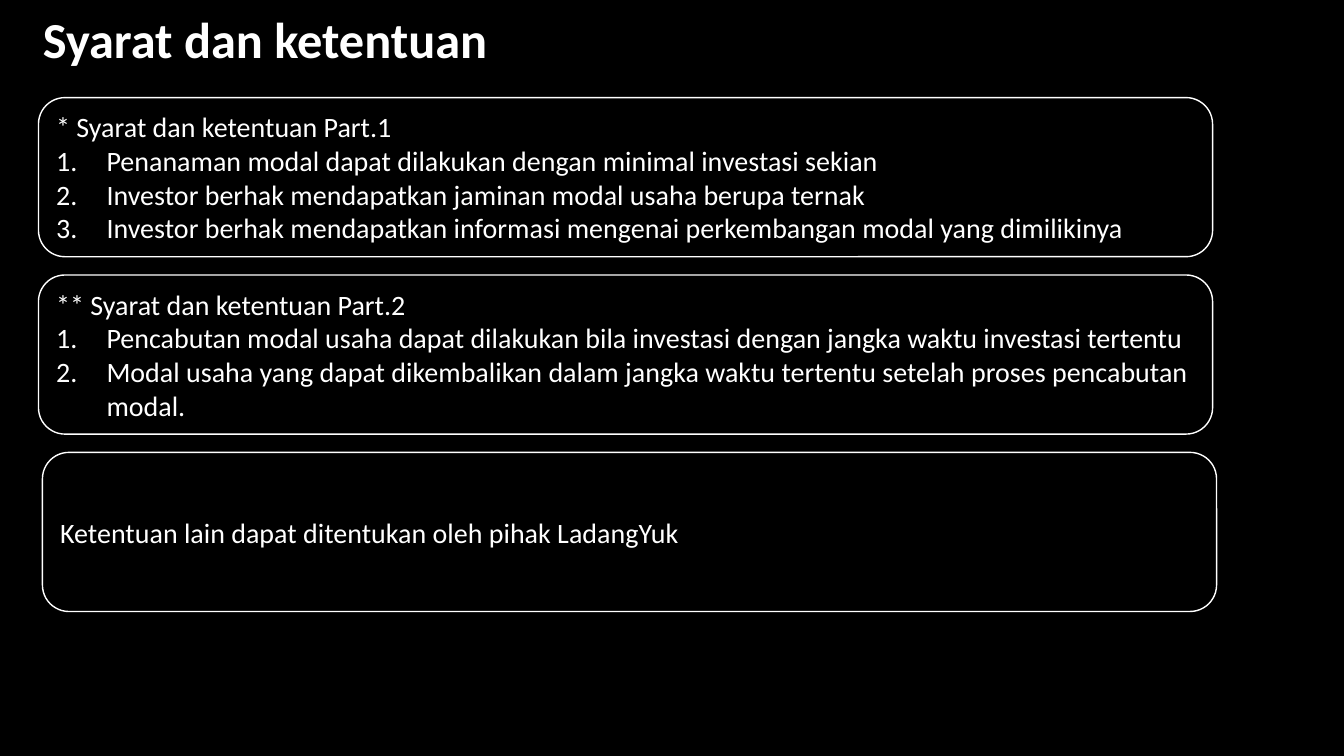
"""Build the terms and conditions slide with three outlined boxes."""
from lxml import etree
from pptx import Presentation
from pptx.dml.color import RGBColor
from pptx.enum import shapes, text
from pptx.oxml import ns
from pptx.util import Cm, Pt


def paint(color, tone):
    color.rgb = RGBColor.from_string(tone)


def style(par, size, align, bold=False):
    par.alignment = align
    par.font.name = "Calibri"
    par.font.size = Pt(size)
    par.font.bold = bold
    paint(par.font.color, "FFFFFF")


deck = Presentation()
deck.slide_width, deck.slide_height = Cm(33.87), Cm(19.05)
slide = deck.slides.add_slide(deck.slide_layouts[5])
back = slide.background.fill
back.solid()
paint(back.fore_color, "000000")

title = slide.shapes.title
title.left, title.top, title.width, title.height = Cm(0.69), Cm(-0.08), Cm(11.99), Cm(2.08)
frame = title.text_frame
frame.text = "Syarat dan ketentuan"
frame.auto_size = text.MSO_AUTO_SIZE.NONE
frame.vertical_anchor = text.MSO_ANCHOR.MIDDLE
style(frame.paragraphs[0], 36, text.PP_ALIGN.CENTER, True)

terms = [
    (0.97, "* Syarat dan ketentuan Part.1", [
        "Penanaman modal dapat dilakukan dengan minimal investasi sekian",
        "Investor berhak mendapatkan jaminan modal usaha berupa ternak",
        "Investor berhak mendapatkan informasi mengenai perkembangan modal yang dimilikinya"]),
    (0.97, "** Syarat dan ketentuan Part.2", [
        "Pencabutan modal usaha dapat dilakukan bila investasi dengan jangka waktu investasi tertentu",
        "Modal usaha yang dapat dikembalikan dalam jangka waktu tertentu setelah proses pencabutan modal."]),
    (1.07, "Ketentuan lain dapat ditentukan oleh pihak LadangYuk", []),
]
for row, (left, head, items) in enumerate(terms):
    box = slide.shapes.add_shape(shapes.MSO_SHAPE.ROUNDED_RECTANGLE,
                                 Cm(left), Cm(2.46 + 4.47 * row), Cm(29.59), Cm(4.01))
    box.shadow.inherit = False
    box.fill.background()
    box.line.width = Pt(1)
    paint(box.line.color, "FFFFFF")
    frame = box.text_frame
    frame.word_wrap = True
    frame.vertical_anchor = text.MSO_ANCHOR.MIDDLE
    frame.text = "\n".join([head] + items)
    for par in frame.paragraphs:
        style(par, 20, text.PP_ALIGN.LEFT)
    for par in frame.paragraphs[1:]:
        props = par._p.get_or_add_pPr()
        props.set("marL", str(Cm(1.27)))
        props.set("indent", str(Cm(-1.27)))
        mark = etree.Element(ns.qn("a:buAutoNum"), type="arabicPeriod")
        props.insert_element_before(mark, "a:tabLst", "a:defRPr", "a:extLst")

deck.save("out.pptx")
